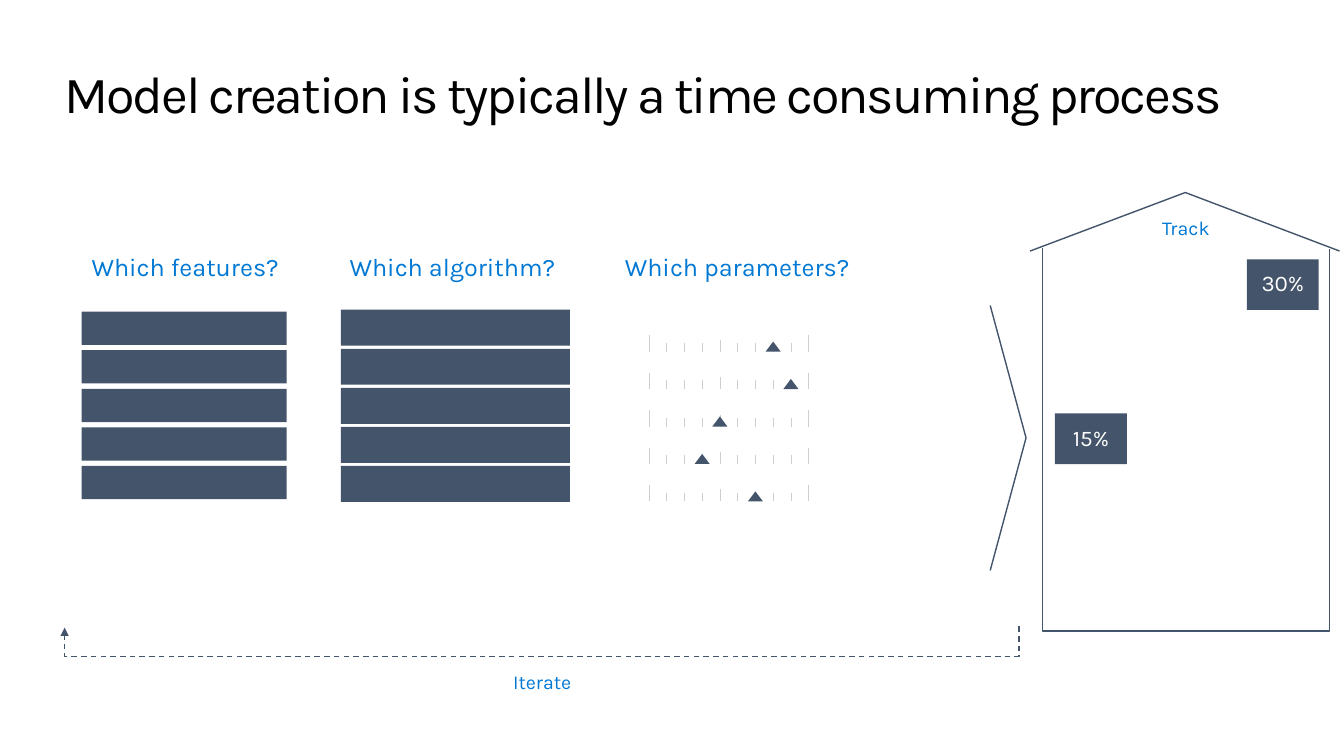
from lxml import etree
from pptx import Presentation
from pptx.dml.color import RGBColor
from pptx.enum.dml import MSO_LINE
from pptx.enum.shapes import MSO_CONNECTOR, MSO_SHAPE
from pptx.enum.text import MSO_ANCHOR, MSO_AUTO_SIZE, PP_ALIGN
from pptx.oxml.ns import qn
from pptx.util import Pt

RECT, TRIANGLE = MSO_SHAPE.RECTANGLE, MSO_SHAPE.ISOSCELES_TRIANGLE
STRAIGHT, ELBOW = MSO_CONNECTOR.STRAIGHT, MSO_CONNECTOR.ELBOW
DASH = MSO_LINE.DASH
LEFT, CENTER = PP_ALIGN.LEFT, PP_ALIGN.CENTER
TOP, MIDDLE = MSO_ANCHOR.TOP, MSO_ANCHOR.MIDDLE
NO_FIT = MSO_AUTO_SIZE.NONE
FONT = "Karla"
SLATE, BLUE, GREY, WHITE, BLACK = "44546A", "0078D4", "D0CECE", "FFFFFF", "000000"

HEADINGS = [
    ("Which features?", 58.3, 162.7),
    ("Which algorithm?", 242.6, 174.2),
    ("Which parameters?", 439.2, 190),
]
STACKS = [
    (58.3, 222.6, 146.4, 23.8, 27.55),
    (243.4, 221.2, 163.7, 25.7, 27.9),
]
SCORES = [("30%", 890.7, 185.2), ("15%", 753.6, 295.3)]
MARKED_TICKS = [7, 8, 4, 3, 6]
TICK_HEIGHTS = [11.7, 6.3, 6.3, 6.3, 8.6, 6.3, 6.3, 6.3, 6.3, 11.7]
TICK_LEFT, TICK_GAP = 463.5, 12.68
SCALE_BASE, SCALE_GAP = 251.2, 26.75


def color(value):
    return RGBColor.from_string(value)


def set_text(s, text, size, hue, align=LEFT, anchor=TOP, spacing=0.9, margins=(7.2, 3.6, 7.2, 3.6)):
    tf = s.text_frame
    left, top, right, bottom = map(Pt, margins)
    frame = dict(margin_left=left, margin_top=top, margin_right=right, margin_bottom=bottom,
                 word_wrap=True, auto_size=NO_FIT, vertical_anchor=anchor)
    for name, value in frame.items():
        setattr(tf, name, value)
    p = tf.paragraphs[0]
    p.alignment = align
    p.line_spacing = spacing
    r = p.add_run()
    r.text = text
    for name, value in dict(name=FONT, size=Pt(size), bold=False).items():
        setattr(r.font, name, value)
    r.font.color.rgb = color(hue)
    return r


def add_title(slide, text):
    s = slide.shapes.title
    box = dict(left=46.1, top=36, width=867.6, height=87.1)
    for name, value in box.items():
        setattr(s, name, Pt(value))
    r = set_text(s, text, 37.2, BLACK, margins=(0, 13, 0, 0))
    r.font._element.set("spc", "-150")


def add_label(slide, text, x, y, w, h, size, align=LEFT):
    s = slide.shapes.add_textbox(Pt(x), Pt(y), Pt(w), Pt(h))
    set_text(s, text, size, BLUE, align)


def add_block(slide, x, y, w, h, fill=SLATE, kind=RECT):
    s = slide.shapes.add_shape(kind, Pt(x), Pt(y), Pt(w), Pt(h))
    s.shadow.inherit = False
    s.fill.solid()
    s.fill.fore_color.rgb = color(fill)
    s.line.fill.background()
    return s


def add_outline(slide, points):
    start, *rest = [(Pt(x), Pt(y)) for x, y in points]
    builder = slide.shapes.build_freeform(*start)
    builder.add_line_segments(rest, close=False)
    s = builder.convert_to_shape()
    s.shadow.inherit = False
    s.fill.background()
    s.line.color.rgb = color(SLATE)
    s.line.width = Pt(1)


def add_line(slide, x1, y1, x2, y2, hue, width, kind=STRAIGHT):
    s = slide.shapes.add_connector(kind, Pt(x1), Pt(y1), Pt(x2), Pt(y2))
    s.line.color.rgb = color(hue)
    s.line.width = Pt(width)
    etree.SubElement(s._element.spPr, qn("a:effectLst"))
    return s


def add_loop_arrow(slide):
    s = add_line(slide, 386.5, 106.9, 387.5, 788.7, SLATE, 1, ELBOW)
    s.line.dash_style = DASH
    etree.SubElement(s.line._get_or_add_ln(), qn("a:tailEnd"), type="triangle")
    sp_pr = s._element.spPr
    sp_pr.find(qn("a:xfrm")).set("rot", "5400000")
    geom = sp_pr.find(qn("a:prstGeom"))
    guides = geom.find(qn("a:avLst"))
    if guides is None:
        guides = etree.SubElement(geom, qn("a:avLst"))
    etree.SubElement(guides, qn("a:gd"), name="adj1", fmla="val 2170800")


def add_house(slide):
    s = add_block(slide, 756.7, 150.5, 180.7, 24.5, WHITE)
    set_text(s, "Track", 14, BLUE, CENTER, spacing=1.0)
    add_outline(slide, [(735.8, 179.3), (846.7, 137.5), (956.9, 179.3)])
    add_outline(slide, [(949.7, 177.8), (949.7, 450.7), (744.5, 450.7), (744.5, 177.1)])


def add_scale(slide, row, marked):
    base = SCALE_BASE + row * SCALE_GAP
    for i, height in enumerate(TICK_HEIGHTS):
        x = TICK_LEFT + i * TICK_GAP
        add_line(slide, x, base, x, base - height, GREY, 0.5)
    add_block(slide, TICK_LEFT + marked * TICK_GAP - 5.4, base - 7.2, 10.8, 7.2, kind=TRIANGLE)


def add_stack(slide, x, y, w, h, gap):
    for i in range(5):
        add_block(slide, x, y + i * gap, w, h)


def main():
    prs = Presentation()
    prs.slide_width, prs.slide_height = Pt(960), Pt(540)
    slide = prs.slides.add_slide(prs.slide_layouts[5])
    add_title(slide, "Model creation is typically a time consuming process")
    add_house(slide)
    for row, marked in enumerate(MARKED_TICKS):
        add_scale(slide, row, marked)
    for stack in STACKS:
        add_stack(slide, *stack)
    for text, x, w in HEADINGS:
        add_label(slide, text, x, 178.6, w, 27.4, 18)
    add_outline(slide, [(707.3, 218.2), (732.9, 312.8), (707.3, 407.5)])
    for text, x, y in SCORES:
        s = add_block(slide, x, y, 51.3, 36.2)
        set_text(s, text, 16, WHITE, CENTER, MIDDLE)
    add_loop_arrow(slide)
    add_label(slide, "Iterate", 316.8, 476.6, 141.1, 23, 14, CENTER)
    prs.save("out.pptx")


if __name__ == "__main__":
    main()
